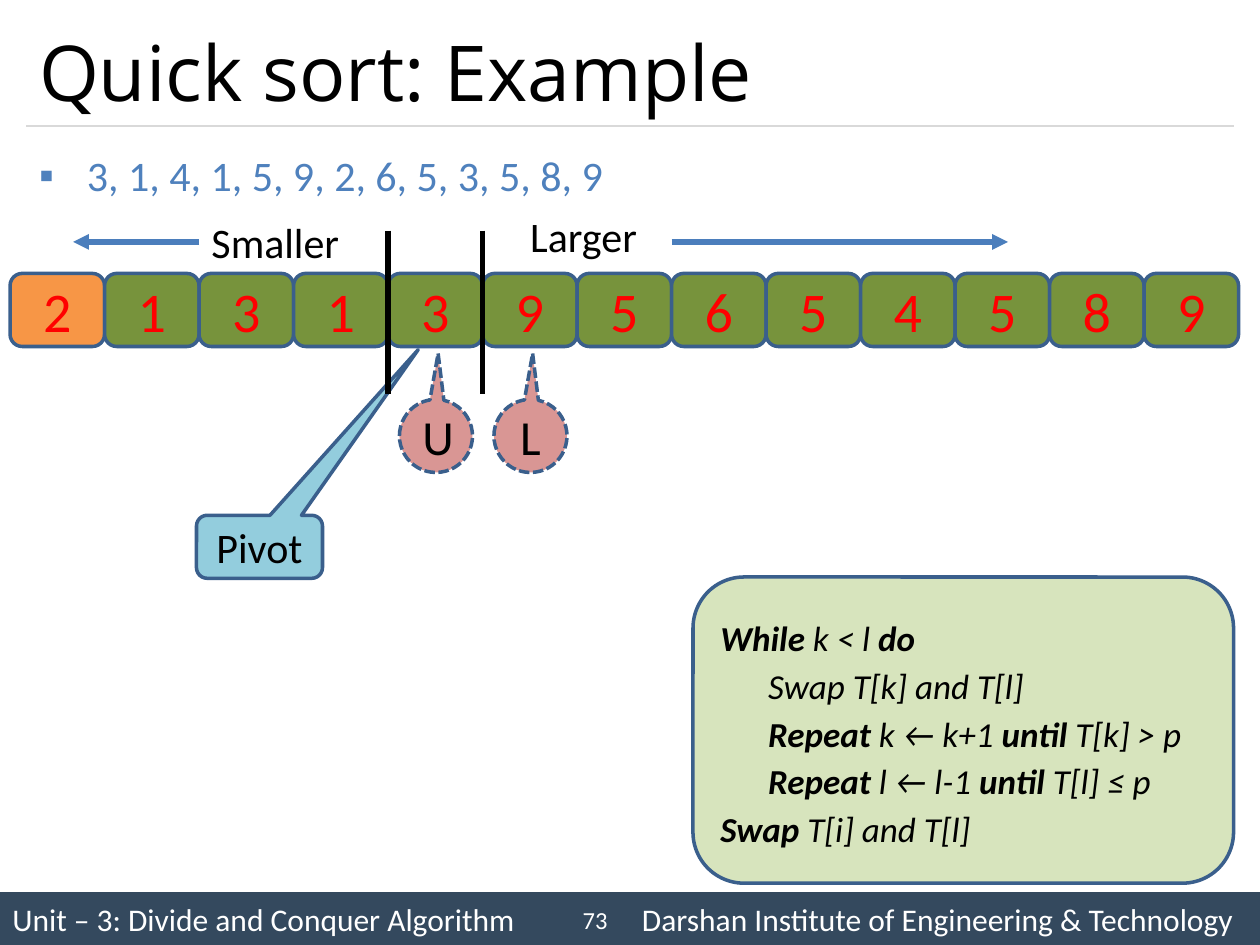
from dataclasses import dataclass

from lxml import etree
from pptx import Presentation
from pptx.dml.color import RGBColor
from pptx.enum.dml import MSO_LINE
from pptx.enum.shapes import MSO_CONNECTOR, MSO_SHAPE
from pptx.enum.text import MSO_ANCHOR, MSO_AUTO_SIZE, PP_ALIGN
from pptx.oxml.ns import qn
from pptx.shapes.autoshape import Shape
from pptx.slide import Slide
from pptx.text.text import TextFrame
from pptx.util import Inches, Pt

RECT = MSO_SHAPE.RECTANGLE
ROUND = MSO_SHAPE.ROUNDED_RECTANGLE
WEDGE = MSO_SHAPE.ROUNDED_RECTANGULAR_CALLOUT
BUBBLE = MSO_SHAPE.OVAL_CALLOUT
DASH = MSO_LINE.SQUARE_DOT
STRAIGHT = MSO_CONNECTOR.STRAIGHT
MIDDLE = MSO_ANCHOR.MIDDLE
TOP = MSO_ANCHOR.TOP
FIXED = MSO_AUTO_SIZE.NONE
LEFT, CENTER, RIGHT, JUSTIFY = (
    PP_ALIGN.LEFT, PP_ALIGN.CENTER, PP_ALIGN.RIGHT, PP_ALIGN.JUSTIFY)

BLACK, WHITE, RED = "000000", "FFFFFF", "FF0000"
EDGE, BLUE, ARROW = "3A5F8C", "4F81BD", "4B7EBC"
GREEN, ORANGE, PINK = "77933C", "F79646", "D99694"
CELL, START, ROW = 0.75, 0.08, 2.17


@dataclass
class Box:
    kind: MSO_SHAPE
    place: tuple[float, float, float, float]
    fill: str
    text: str
    size: int
    ink: str = BLACK
    edge: str | None = EDGE
    dash: bool = False
    shape: tuple[float, ...] = ()


@dataclass
class Label:
    place: tuple[float, float, float, float]
    text: str
    size: int
    ink: str = BLACK
    align: PP_ALIGN = LEFT
    anchor: MSO_ANCHOR = TOP


@dataclass
class Line:
    start: tuple[float, float]
    end: tuple[float, float]
    ink: str
    width: float
    head: bool = False


@dataclass
class Step:
    words: tuple[tuple[str, bool], ...]
    indent: float = 0


def color(code: str) -> RGBColor:
    return RGBColor.from_string(code)


def style(frame: TextFrame, size: int, ink: str, align: PP_ALIGN,
          face: str = "Calibri") -> None:
    for para in frame.paragraphs:
        para.alignment = align
        for run in para.runs:
            run.font.name = face
            run.font.size = Pt(size)
            run.font.color.rgb = color(ink)


def move(shape: Shape, place: tuple[float, ...]) -> None:
    shape.left, shape.top, shape.width, shape.height = map(Inches, place)


def draw_box(slide: Slide, box: Box) -> Shape:
    shape = slide.shapes.add_shape(box.kind, *map(Inches, box.place))
    shape.shadow.inherit = False
    shape.fill.solid()
    shape.fill.fore_color.rgb = color(box.fill)
    if box.edge:
        shape.line.color.rgb = color(box.edge)
        shape.line.width = Pt(2)
    else:
        shape.line.fill.background()
    if box.dash:
        shape.line.dash_style = DASH
    for i, value in enumerate(box.shape):
        shape.adjustments[i] = value
    frame = shape.text_frame
    frame.text = box.text
    frame.vertical_anchor = MIDDLE
    style(frame, box.size, box.ink, CENTER)
    return shape


def draw_label(slide: Slide, label: Label) -> None:
    frame = slide.shapes.add_textbox(*map(Inches, label.place)).text_frame
    frame.word_wrap = True
    frame.text = label.text
    frame.vertical_anchor = label.anchor
    style(frame, label.size, label.ink, label.align)


def draw_line(slide: Slide, line: Line) -> None:
    shape = slide.shapes.add_connector(
        STRAIGHT, *map(Inches, line.start + line.end))
    shape.line.color.rgb = color(line.ink)
    shape.line.width = Pt(line.width)
    if line.head:
        etree.SubElement(shape.line._ln, qn("a:tailEnd"), type="triangle")
    etree.SubElement(shape._element.spPr, qn("a:effectLst"))


def draw_bar(slide: Slide) -> None:
    text = ("Unit – 3: Divide and Conquer Algorithm\t"
            "Darshan Institute of Engineering & Technology")
    bar = draw_box(slide, Box(RECT, (0, 7.08, 10, 0.42), "34495E", text, 18,
                              WHITE, None))
    props = bar.text_frame.paragraphs[0]._p.get_or_add_pPr()
    tabs = etree.SubElement(props, qn("a:tabLst"))
    etree.SubElement(tabs, qn("a:tab"), pos=str(Inches(9.69)), algn="r")
    style(bar.text_frame, 18, WHITE, LEFT)


def fill_holders(slide: Slide) -> None:
    title, body = slide.placeholders
    move(title, (0.21, 0.12, 9.58, 0.88))
    frame = title.text_frame
    frame.text = "Quick sort: Example"
    frame.vertical_anchor = MIDDLE
    frame.auto_size = FIXED
    style(frame, 44, BLACK, LEFT, "Open Sans")

    move(body, (0.21, 1.08, 9.58, 5.83))
    frame = body.text_frame
    frame.text = "3, 1, 4, 1, 5, 9, 2, 6, 5, 3, 5, 8, 9"
    frame.auto_size = FIXED
    para = frame.paragraphs[0]
    props = para._p.get_or_add_pPr()
    props.set("marL", str(Inches(0.38)))
    props.set("indent", str(Inches(-0.38)))
    etree.SubElement(props, qn("a:buChar"), char="▪")
    para.line_spacing = 1.14
    para.space_before = Pt(0)
    style(frame, 24, BLUE, JUSTIFY)


def draw_code(slide: Slide, steps: list[Step]) -> None:
    panel = draw_box(slide, Box(ROUND, (5.5, 4.58, 4.29, 2.43), "D7E4BD",
                                "", 20))
    frame = panel.text_frame
    for i, step in enumerate(steps):
        para = frame.add_paragraph() if i else frame.paragraphs[0]
        para.line_spacing = 1.14
        para._p.get_or_add_pPr().set("marL", str(Inches(step.indent)))
        for text, bold in step.words:
            run = para.add_run()
            run.text = text
            run.font.bold = bold
            run.font.italic = True
    style(frame, 20, BLACK, LEFT)


def main() -> None:
    deck = Presentation()
    deck.slide_width, deck.slide_height = Inches(10), Inches(7.5)
    slide = deck.slides.add_slide(deck.slide_layouts[1])
    fill_holders(slide)
    draw_bar(slide)
    draw_line(slide, Line((0.21, 1), (9.79, 1), "D9D9D9", 0.75))
    draw_label(slide, Label((4.42, 7.1, 0.5, 0.4), "73", 14, WHITE, RIGHT,
                            MIDDLE))

    for i, digit in enumerate("2131395654589"):
        place = (START + i * CELL, ROW, CELL, 0.58)
        draw_box(slide, Box(ROUND, place, GREEN if i else ORANGE, digit, 32,
                            RED))
    draw_box(slide, Box(WEDGE, (1.56, 4.09, 1, 0.5), "93CDDD", "Pivot", 24,
                        shape=(1.26, -3.13, 0.17)))
    for i, mark in enumerate("UL"):
        place = (3.17 + i * CELL, 3.17, 0.58, 0.58)
        draw_box(slide, Box(BUBBLE, place, PINK, mark, 28, dash=True,
                            shape=(0.03, -1.13)))

    draw_label(slide, Label((1.58, 1.67, 1.25, 0.5), "Smaller", 24))
    draw_label(slide, Label((4.11, 1.62, 1.14, 0.5), "Larger", 24))
    draw_line(slide, Line((1.58, 1.92), (0.58, 1.92), ARROW, 3, True))
    draw_line(slide, Line((5.33, 1.92), (8, 1.92), ARROW, 3, True))
    for i in (4, 5):
        x = START + i * CELL
        draw_line(slide, Line((x, 1.83), (x, 3.13), BLACK, 3))

    draw_code(slide, [
        Step((("While ", True), ("k < l ", False), ("do", True))),
        Step((("Swap T[k] and T[l]", False),), 0.38),
        Step((("Repeat", True), (" k ← k+1 ", False), ("until", True),
              (" T[k] > p", False)), 0.38),
        Step((("Repeat", True), (" l ← l-1 ", False), ("until", True),
              (" T[l] ≤ p", False)), 0.38),
        Step((("Swap ", True), ("T[i] and T[l]", False))),
    ])
    deck.save("out.pptx")


if __name__ == "__main__":
    main()
